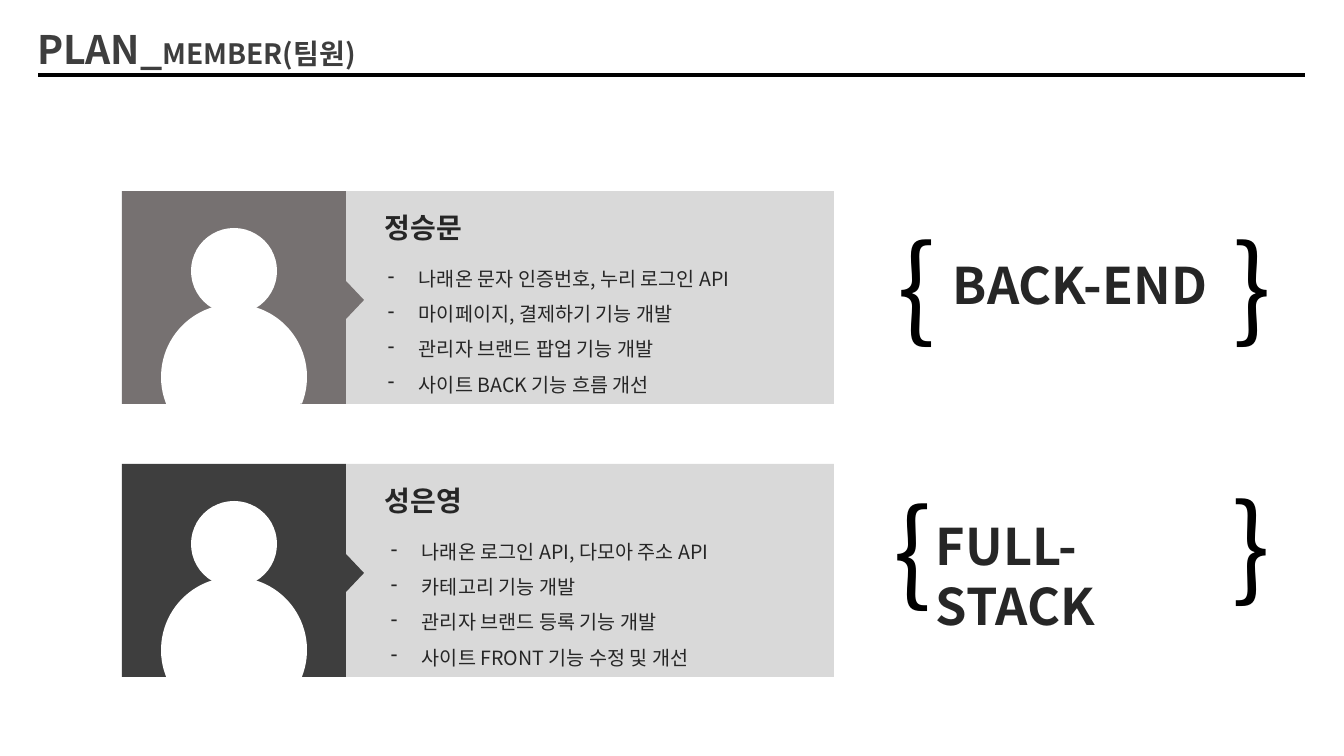
from lxml import etree
from pptx import Presentation
from pptx import util as u
from pptx.dml.color import RGBColor
from pptx.enum import shapes, text
from pptx.oxml import parse_xml
from pptx.oxml.ns import nsdecls, qn

PX = 914400 / 100.8
FONT = "Noto Sans CJK KR"
BLACK = RGBColor(0x00, 0x00, 0x00)
WHITE = RGBColor(0xFF, 0xFF, 0xFF)
INK = RGBColor(0x26, 0x26, 0x26)
CHARCOAL = RGBColor(0x3E, 0x3E, 0x3E)
STONE = RGBColor(0x76, 0x71, 0x71)
PANEL = RGBColor(0xD9, 0xD9, 0xD9)
PHOTO_WIDTH = 224
BRACE_WIDTH = 54

OUTLINE = (f'<a:ln {nsdecls("a")} w="9525"><a:solidFill><a:srgbClr val="3B3838">'
           '<a:alpha val="15000"/></a:srgbClr></a:solidFill></a:ln>')

# Box of the card, photo colour, name, left offset of the list, tasks
MEMBERS = [
    ((122, 191, 712, 213), STONE, "정승문", 256,
     ["나래온 문자 인증번호, 누리 로그인 API", "마이페이지, 결제하기 기능 개발",
      "관리자 브랜드 팝업 기능 개발", "사이트 BACK 기능 흐름 개선"]),
    ((122, 464, 712, 213), CHARCOAL, "성은영", 259,
     ["나래온 로그인 API, 다모아 주소 API", "카테고리 기능 개발",
      "관리자 브랜드 등록 기능 개발", "사이트 FRONT 기능 수정 및 개선"]),
]

# Box of the role, label, label box inside it, rise of the closing brace
ROLES = [
    ((888, 212, 390, 146), "BACK-END", (55, 37, 280, 72), 0),
    ((884, 476, 393, 146), "FULL-STACK", (42, 34, 312, 72), 5),
]


def px(*lengths):
    return [u.Emu(round(length * PX)) for length in lengths]


def set_font(paragraph, size, color, bold=False, outline=False):
    font = paragraph.font
    font.name, font.size, font.bold = FONT, u.Pt(size), bold
    font.color.rgb = color
    properties = paragraph._p.pPr.find(qn("a:defRPr"))
    etree.SubElement(properties, qn("a:ea")).set("typeface", FONT)
    if outline:
        properties.insert(0, parse_xml(OUTLINE))


def add_text(container, box, lines, size, color=INK, bold=False, outline=True,
             wrap=False, bullets=False):
    frame = container.add_textbox(*px(*box)).text_frame
    frame.word_wrap = wrap
    frame.auto_size = text.MSO_AUTO_SIZE.SHAPE_TO_FIT_TEXT
    frame.text = "\n".join(lines)
    for paragraph in frame.paragraphs:
        if bullets:
            properties = paragraph._p.get_or_add_pPr()
            indent = px(31)[0]
            properties.set("marL", str(indent))
            properties.set("indent", str(-indent))
            etree.SubElement(properties, qn("a:buFontTx"))
            etree.SubElement(properties, qn("a:buChar")).set("char", "-")
            paragraph.line_spacing = 1.5
        set_font(paragraph, size, color, bold, outline)


def add_block(container, kind, box, color, rotation=0):
    shape = container.add_shape(kind, *px(*box))
    shape.shadow.inherit = False
    shape.fill.solid()
    shape.fill.fore_color.rgb = color
    shape.line.fill.background()
    shape.rotation = rotation


def add_header(slide, left, top, width, height):
    title = slide.shapes.title
    title.left, title.top, title.width, title.height = px(left, top, width, height)
    frame = title.text_frame
    frame.auto_size = text.MSO_AUTO_SIZE.NONE
    frame.vertical_anchor = text.MSO_ANCHOR.BOTTOM
    paragraph = frame.paragraphs[0]
    paragraph.alignment = text.PP_ALIGN.LEFT
    paragraph.line_spacing = 0.9
    paragraph.add_run().text = "PLAN_"
    section = paragraph.add_run()
    section.text = "MEMBER(팀원)"
    section.font.size = u.Pt(20)
    set_font(paragraph, 28, CHARCOAL, bold=True)

    # Rule under the title
    rule = slide.shapes.add_connector(
        shapes.MSO_CONNECTOR.STRAIGHT, *px(left + 1278, top + 61, left + 11, top + 61))
    rule.line.color.rgb = BLACK
    rule.line.width = u.Pt(2.75)
    etree.SubElement(rule._element.spPr, qn("a:effectLst"))


def add_member(slide, box, color, name, list_left, tasks):
    left, top, width, height = box
    kinds = shapes.MSO_SHAPE
    # Panel, photo background and pointer
    add_block(slide.shapes, kinds.RECTANGLE,
              (left + PHOTO_WIDTH, top, width - PHOTO_WIDTH, height), PANEL)
    add_block(slide.shapes, kinds.RECTANGLE, (left, top, PHOTO_WIDTH, height), color)
    add_block(slide.shapes, kinds.ISOSCELES_TRIANGLE,
              (left + 214, top + 100, 38, 18), color, 90)
    # Portrait: shoulders and head
    portrait = slide.shapes.add_group_shape().shapes
    add_block(portrait, kinds.CHORD, (left + 39, top + 113, 146, 146), WHITE, 111.5)
    add_block(portrait, kinds.OVAL, (left + 69, top + 37, 86, 86), WHITE)
    # Name and tasks
    add_text(slide.shapes, (left + 253, top + 15, 105, 44), [name], 20, bold=True)
    add_text(slide.shapes, (left + list_left, top + 59, 398, 148), tasks, 14, bullets=True)


def add_role(slide, box, label, label_box, rise):
    left, top, width, height = box
    group = slide.shapes.add_group_shape().shapes
    x, y, label_width, label_height = label_box
    add_text(group, (left + x, top + y, label_width, label_height), [label], 36,
             bold=True, wrap=True)
    closing_left = left + width - BRACE_WIDTH
    for brace, x, y in (("{", left, top), ("}", closing_left, top - rise)):
        add_text(group, (x, y, BRACE_WIDTH, height), [brace], 80, BLACK, outline=False)


def main():
    presentation = Presentation()
    presentation.slide_width, presentation.slide_height = px(1344, 756)
    slide = presentation.slides.add_slide(presentation.slide_layouts[5])
    add_header(slide, 27, 14, 983, 64)
    for member in MEMBERS:
        add_member(slide, *member)
    for role in ROLES:
        add_role(slide, *role)
    presentation.save("out.pptx")


if __name__ == "__main__":
    main()
